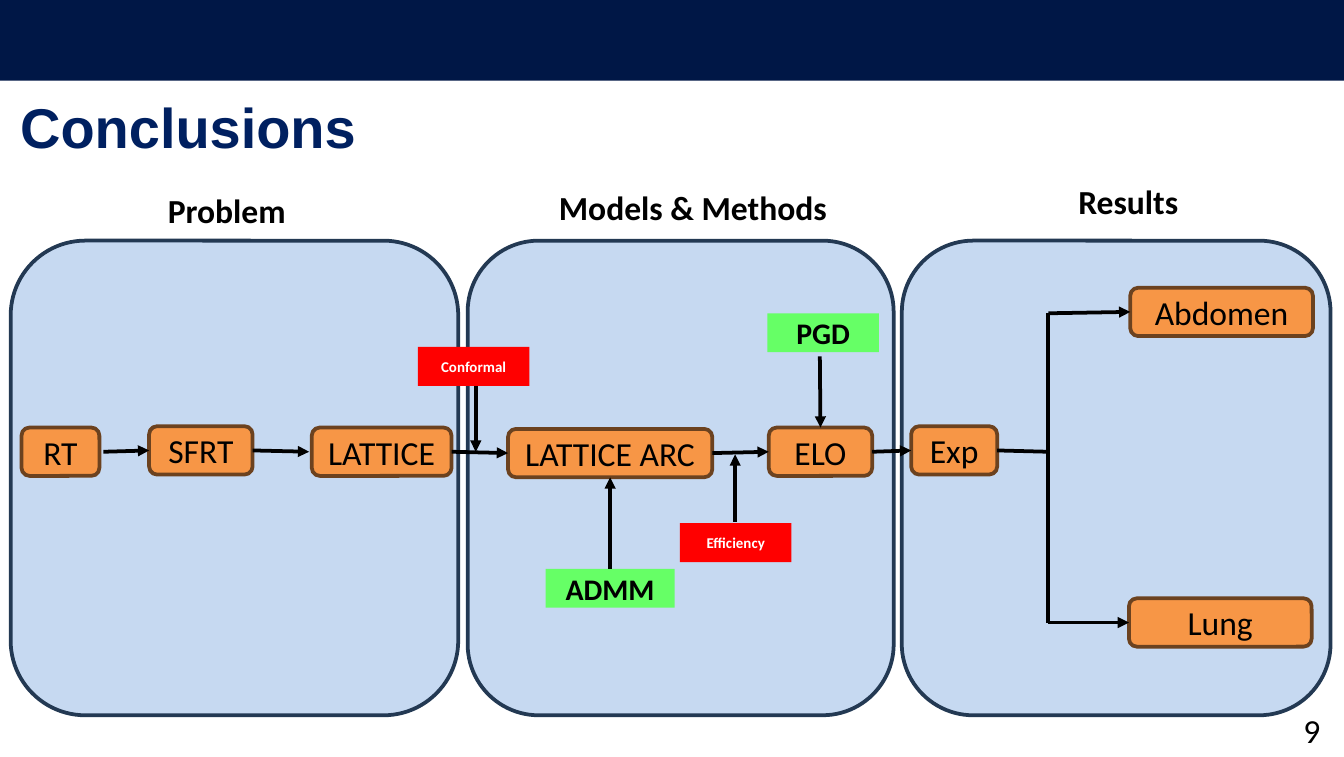
from dataclasses import dataclass
from typing import NamedTuple, Optional, Union

from lxml import etree
from pptx import Presentation
from pptx.dml.color import RGBColor
from pptx.enum.shapes import MSO_CONNECTOR, MSO_SHAPE
from pptx.enum.text import MSO_ANCHOR, MSO_AUTO_SIZE, PP_ALIGN
from pptx.oxml.ns import qn
from pptx.util import Emu, Pt

RECTANGLE, ROUNDED = MSO_SHAPE.RECTANGLE, MSO_SHAPE.ROUNDED_RECTANGLE
STRAIGHT = MSO_CONNECTOR.STRAIGHT
LEFT, CENTER = PP_ALIGN.LEFT, PP_ALIGN.CENTER
TOP, MIDDLE = MSO_ANCHOR.TOP, MSO_ANCHOR.MIDDLE
NO_AUTOFIT = MSO_AUTO_SIZE.NONE
TOP_SIDE, LEFT_SIDE, BOTTOM_SIDE, RIGHT_SIDE = range(4)
TITLE_ONLY = 5
EMU_PER_PX = 9144  # 100 px to the inch


@dataclass(frozen=True)
class Theme:
    heading_font: str = "Arial"
    body_font: str = "Calibri"
    title_size: int = 30
    body_size: int = 18
    method_size: int = 16
    goal_size: int = 8
    line_width: int = 2
    band: str = "001746"
    title: str = "002060"
    ink: str = "000000"
    paper: str = "FFFFFF"
    panel: str = "C6D9F1"
    panel_line: str = "233953"
    step: str = "F79646"
    step_line: str = "6C421F"
    goal: str = "FF0000"
    method: str = "66FF66"


THEME = Theme()


class Box(NamedTuple):
    left: int
    top: int
    width: int
    height: int


class Style(NamedTuple):
    geometry: MSO_SHAPE
    fill: str
    line: Optional[str] = None
    size: int = THEME.body_size
    color: str = THEME.ink
    bold: bool = False


class Label(NamedTuple):
    text: str
    box: Box
    style: Style


class Heading(NamedTuple):
    text: str
    box: Box
    align: PP_ALIGN = LEFT
    bold: bool = True


class Point(NamedTuple):
    x: int
    y: int


class Port(NamedTuple):
    """A side of a named label."""
    label: str
    side: int


class Link(NamedTuple):
    start: Union[Point, Port]
    end: Union[Point, Port]
    arrow: bool = True


BAND = Style(RECTANGLE, THEME.band)
PANEL = Style(ROUNDED, THEME.panel, THEME.panel_line)
STEP = Style(ROUNDED, THEME.step, THEME.step_line)
GOAL = Style(RECTANGLE, THEME.goal, size=THEME.goal_size, color=THEME.paper, bold=True)
METHOD = Style(RECTANGLE, THEME.method, size=THEME.method_size, bold=True)

PANELS = [Box(left, 179, width, 353) for left, width in ((671, 319), (348, 317), (8, 333))]
HEADINGS = [
    Heading("Problem", Box(115, 136, 115, 40)),
    Heading("Models & Methods", Box(406, 134, 231, 40)),
    Heading("Results", Box(782, 130, 115, 40), CENTER),
    Heading("9", Box(960, 523, 35, 40), bold=False),
]
LABELS = [
    Label("RT", Box(16, 318, 58, 36), STEP),
    Label("SFRT", Box(111, 317, 77, 36), STEP),
    Label("LATTICE", Box(232, 318, 104, 36), STEP),
    Label("LATTICE ARC", Box(378, 319, 152, 36), STEP),
    Label("ELO", Box(572, 318, 77, 36), STEP),
    Label("Exp", Box(678, 317, 64, 36), STEP),
    Label("Abdomen", Box(841, 214, 136, 36), STEP),
    Label("Lung", Box(840, 445, 136, 36), STEP),
    Label("Conformal", Box(311, 258, 83, 29), GOAL),
    Label("Efficiency", Box(506, 389, 83, 29), GOAL),
    Label("ADMM", Box(406, 423, 96, 29), METHOD),
    Label("PGD", Box(571, 233, 83, 29), METHOD),
]
FORK, FORK_TOP, FORK_BOTTOM = Point(780, 336), Point(780, 233), Point(780, 463)
LINKS = [
    Link(Point(77, 336), Port("SFRT", LEFT_SIDE)),
    Link(Port("SFRT", RIGHT_SIDE), Point(230, 336)),
    Link(Port("LATTICE", RIGHT_SIDE), Port("LATTICE ARC", LEFT_SIDE)),
    Link(Port("LATTICE ARC", RIGHT_SIDE), Port("ELO", LEFT_SIDE)),
    Link(Port("ELO", RIGHT_SIDE), Port("Exp", LEFT_SIDE)),
    Link(Port("Exp", RIGHT_SIDE), FORK, arrow=False),
    Link(FORK, FORK_TOP, arrow=False),
    Link(FORK_BOTTOM, FORK, arrow=False),
    Link(FORK_TOP, Port("Abdomen", LEFT_SIDE)),
    Link(FORK_BOTTOM, Port("Lung", LEFT_SIDE)),
    Link(Point(354, 287), Point(354, 336)),
    Link(Point(547, 388), Point(547, 338)),
    Link(Port("ADMM", TOP_SIDE), Port("LATTICE ARC", BOTTOM_SIDE)),
    Link(Point(610, 265), Port("ELO", TOP_SIDE)),
]


def px(length: int) -> Emu:
    return Emu(length * EMU_PER_PX)


def rgb(color: str) -> RGBColor:
    return RGBColor.from_string(color)


def write_text(shape, text: str, *, size: int = THEME.body_size, color: str = THEME.ink,
               font: str = THEME.body_font, bold: bool = False,
               align: PP_ALIGN = LEFT, anchor: MSO_ANCHOR = TOP) -> None:
    frame = shape.text_frame
    frame.word_wrap = True
    frame.auto_size = NO_AUTOFIT
    frame.vertical_anchor = anchor
    paragraph = frame.paragraphs[0]
    paragraph.alignment = align
    run = paragraph.add_run()
    run.text = text
    run.font.name = font
    run.font.size = Pt(size)
    run.font.bold = bold
    run.font.color.rgb = rgb(color)


def add_block(slide, box: Box, style: Style):
    shape = slide.shapes.add_shape(style.geometry, *map(px, box))
    shape.shadow.inherit = False
    shape.fill.solid()
    shape.fill.fore_color.rgb = rgb(style.fill)
    if style.line:
        shape.line.color.rgb = rgb(style.line)
        shape.line.width = Pt(THEME.line_width)
    else:
        shape.line.fill.background()
    return shape


def add_label(slide, label: Label):
    shape = add_block(slide, label.box, label.style)
    write_text(shape, label.text, size=label.style.size, color=label.style.color,
               bold=label.style.bold, align=CENTER, anchor=MIDDLE)
    return shape


def add_link(slide, link: Link, shapes: dict) -> None:
    ends = [end if isinstance(end, Point) else Point(0, 0) for end in (link.start, link.end)]
    connector = slide.shapes.add_connector(STRAIGHT, *map(px, ends[0] + ends[1]))
    if isinstance(link.start, Port):
        connector.begin_connect(shapes[link.start.label], link.start.side)
    if isinstance(link.end, Port):
        connector.end_connect(shapes[link.end.label], link.end.side)
    connector.line.color.rgb = rgb(THEME.ink)
    connector.line.width = Pt(THEME.line_width)
    properties = connector.element.spPr
    if link.arrow:
        etree.SubElement(properties.find(qn("a:ln")), qn("a:tailEnd"), type="triangle")
    etree.SubElement(properties, qn("a:effectLst"))


def main() -> None:
    presentation = Presentation()
    presentation.slide_width, presentation.slide_height = px(1000), px(563)
    slide = presentation.slides.add_slide(presentation.slide_layouts[TITLE_ONLY])
    title = slide.shapes.title
    title.left, title.top, title.width, title.height = map(px, Box(5, 56, 885, 75))
    write_text(title, "Conclusions", size=THEME.title_size, color=THEME.title,
               font=THEME.heading_font, bold=True, anchor=MIDDLE)
    add_block(slide, Box(0, 0, 1000, 60), BAND)
    for panel in PANELS:
        add_block(slide, panel, PANEL)
    shapes = {label.text: add_label(slide, label) for label in LABELS}
    for link in LINKS:
        add_link(slide, link, shapes)
    for heading in HEADINGS:
        text_box = slide.shapes.add_textbox(*map(px, heading.box))
        write_text(text_box, heading.text, bold=heading.bold, align=heading.align)
    presentation.save("out.pptx")


if __name__ == "__main__":
    main()
